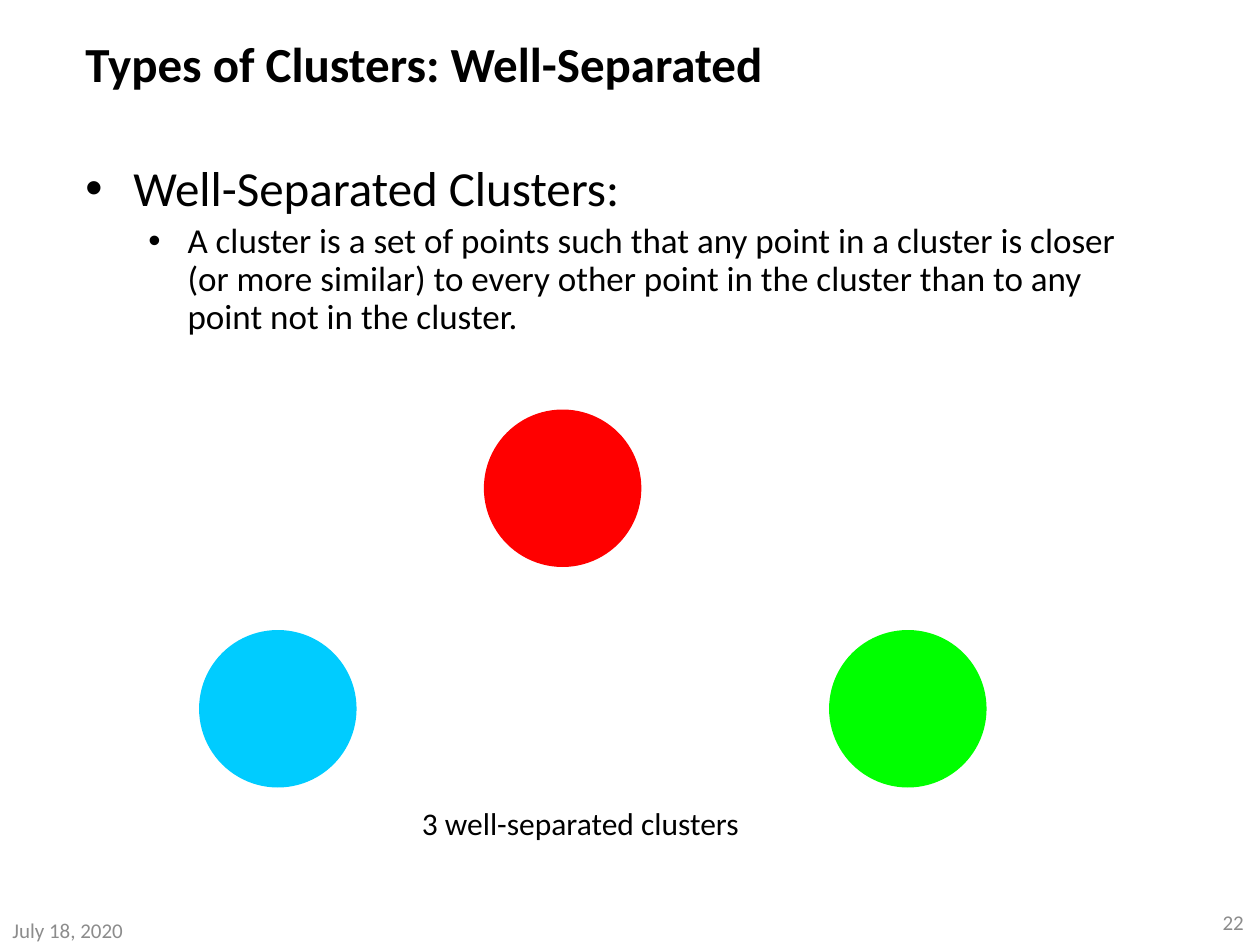
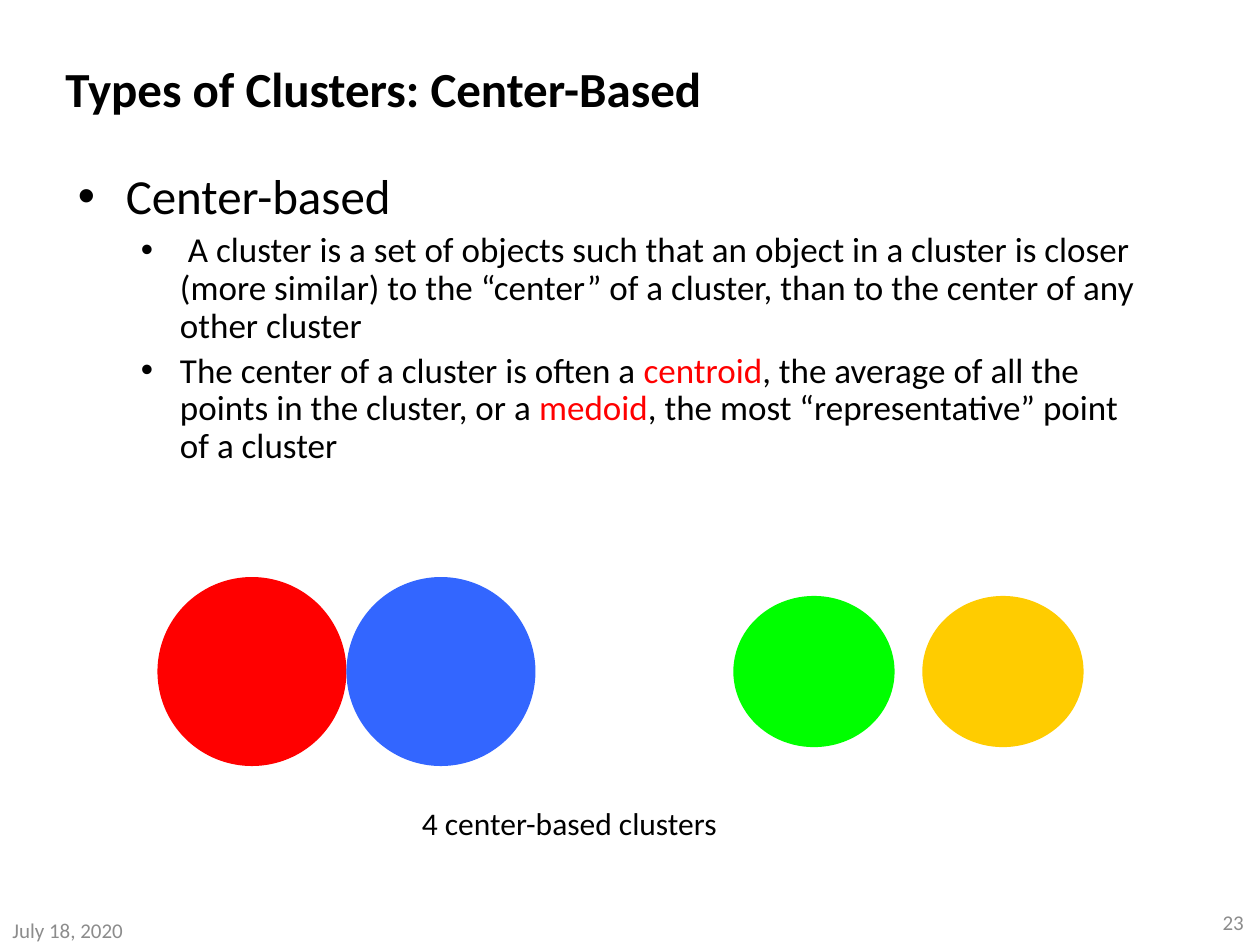
from lxml import etree
from pptx import Presentation
from pptx.dml.color import RGBColor
from pptx.enum.shapes import MSO_SHAPE
from pptx.enum.text import MSO_ANCHOR, PP_ALIGN
from pptx.oxml.ns import qn
from pptx.util import Inches, Pt

COLORS = {
    "text": "000000",
    "footer": "8C8C8C",
    "red": "FF0000",
    "sky": "00CCFF",
    "green": "00FF00",
    "blue": "3366FF",
    "gold": "FFCC00",
}

FONTS = {
    "title": {"name": "Calibri", "size": Pt(28), "bold": True},
    "heading": {"name": "Calibri", "size": Pt(28)},
    "detail": {"name": "Calibri", "size": Pt(20)},
    "caption": {"name": "Calibri", "size": Pt(18)},
    "footer": {"name": "Calibri", "size": Pt(12)},
}

PARAGRAPHS = {
    "title": {"line_spacing": 0.9},
    "heading": {"line_spacing": 0.9, "space_before": Pt(5.6)},
    "detail": {"line_spacing": 0.9, "space_before": Pt(4), "level": 1},
    "caption": {},
    "footer": {},
}

# Left margin and hanging indent of the bulleted styles
INDENTS = {"heading": (0.38, -0.38), "detail": (0.81, -0.31)}

SLIDES = [
    {
        "title": "Types of Clusters: Well-Separated",
        "title_at": (0.58, 0.17, 8.62, 0.72),
        "body_at": (0.58, 1.25, 8.62, 4.76),
        "body": [
            ("heading", [("Well-Separated Clusters:", "text")]),
            ("detail", [("A cluster is a set of points such that any point in a cluster is "
                         "closer (or more similar) to every other point in the cluster than "
                         "to any point not in the cluster.", "text")]),
        ],
        "clusters": [
            ("sky", (1.58, 5, 1.25, 1.25)),
            ("green", (6.58, 5, 1.25, 1.25)),
            ("red", (3.84, 3.25, 1.25, 1.25)),
        ],
        "caption": "3 well-separated clusters",
        "number": "22",
    },
    {
        "title": "Types of Clusters: Center-Based",
        "title_at": (0.42, 0.4, 8.62, 0.66),
        "body_at": (0.52, 1.32, 8.62, 4.76),
        "body": [
            ("heading", [("Center-based", "text")]),
            ("detail", [(" A cluster is a set of objects such that an object in a cluster is "
                         "closer (more similar) to the “center” of a cluster, than to the "
                         "center of any other cluster", "text")]),
            ("detail", [("The center of a cluster is often a ", "text"),
                        ("centroid", "red"),
                        (", the average of all the points in the cluster, or a ", "text"),
                        ("medoid", "red"),
                        (", the most “representative” point of a cluster", "text")]),
        ],
        "clusters": [
            ("red", (1.25, 4.58, 1.5, 1.5)),
            ("blue", (2.75, 4.58, 1.5, 1.5)),
            ("green", (5.82, 4.73, 1.28, 1.2)),
            ("gold", (7.32, 4.73, 1.28, 1.2)),
        ],
        "caption": "4 center-based clusters",
        "number": "23",
    },
]


def add_text(page, at, paragraphs, anchor=MSO_ANCHOR.TOP, align=PP_ALIGN.LEFT):
    """Add a text box from (style, [(words, colour), ...]) paragraphs."""
    box = page.shapes.add_textbox(*map(Inches, at))
    frame = box.text_frame
    frame.word_wrap = True
    frame.vertical_anchor = anchor
    for index, (style, spans) in enumerate(paragraphs):
        para = frame.add_paragraph() if index else frame.paragraphs[0]
        para.alignment = align
        for name, value in PARAGRAPHS[style].items():
            setattr(para, name, value)
        if style in INDENTS:
            margin, indent = INDENTS[style]
            properties = para._p.get_or_add_pPr()
            properties.set("marL", str(Inches(margin)))
            properties.set("indent", str(Inches(indent)))
            etree.SubElement(properties, qn("a:buFont")).set("typeface", "Arial")
            etree.SubElement(properties, qn("a:buChar")).set("char", "•")
        for words, color in spans:
            span = para.add_run()
            span.text = words
            for name, value in FONTS[style].items():
                setattr(span.font, name, value)
            span.font.color.rgb = RGBColor.from_string(COLORS[color])


deck = Presentation()
deck.slide_width = Inches(10)
deck.slide_height = Inches(7.5)

for content in SLIDES:
    page = deck.slides.add_slide(deck.slide_layouts[6])
    add_text(page, content["title_at"], [("title", [(content["title"], "text")])],
             anchor=MSO_ANCHOR.MIDDLE)
    add_text(page, content["body_at"], content["body"])

    for color, at in content["clusters"]:
        cluster = page.shapes.add_shape(MSO_SHAPE.OVAL, *map(Inches, at))
        cluster.shadow.inherit = False
        cluster.fill.solid()
        cluster.fill.fore_color.rgb = RGBColor.from_string(COLORS[color])
        cluster.line.fill.background()

    add_text(page, (3.25, 6.33, 3.5, 0.4), [("caption", [(content["caption"], "text")])])
    add_text(page, (0, 7.27, 2.25, 0.23), [("footer", [("July 18, 2020", "footer")])],
             anchor=MSO_ANCHOR.MIDDLE)
    add_text(page, (7.72, 7.2, 2.25, 0.23), [("footer", [(content["number"], "footer")])],
             anchor=MSO_ANCHOR.MIDDLE, align=PP_ALIGN.RIGHT)

deck.save("out.pptx")
